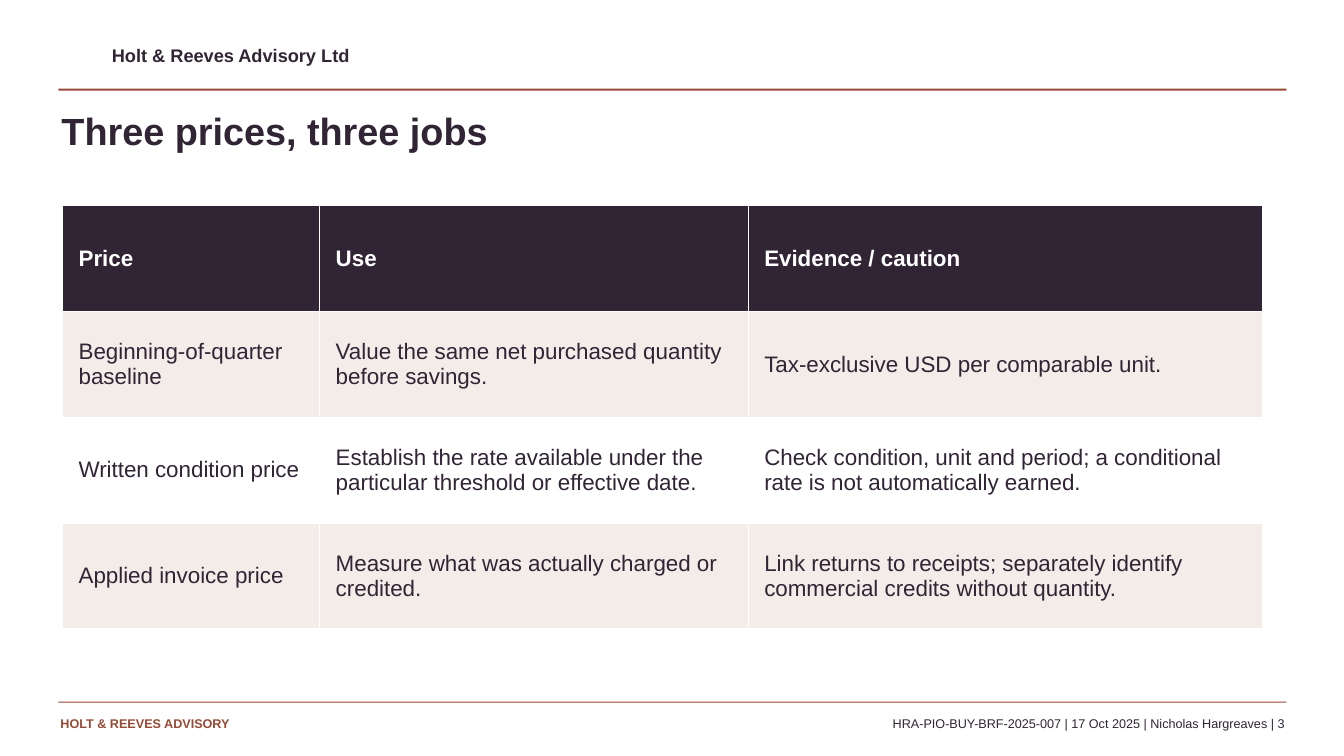
from pptx import Presentation, util as u
from pptx.dml.color import RGBColor
from pptx.enum import shapes, text

PX = 9144
FONT = "Arial"
COLORS = {
    "rust": "964B37",
    "plum": "302435",
    "blush": "F4ECE8",
    "white": "FFFFFF",
}
COLUMN_WIDTHS = [255, 425, 510]
PRICE_ROWS = [
    ["Price", "Use", "Evidence / caution"],
    ["Beginning-of-quarter baseline",
     "Value the same net purchased quantity before savings.",
     "Tax-exclusive USD per comparable unit."],
    ["Written condition price",
     "Establish the rate available under the particular threshold or effective date.",
     "Check condition, unit and period; a conditional rate is not automatically earned."],
    ["Applied invoice price",
     "Measure what was actually charged or credited.",
     "Link returns to receipts; separately identify commercial credits without quantity."],
]


def emu(*lengths):
    """Turn px lengths into EMU."""
    return [u.Emu(length * PX) for length in lengths]


def color(name):
    """Look up a palette colour."""
    return RGBColor.from_string(COLORS[name])


def write(frame, words, size, ink="plum", bold=False, align=text.PP_ALIGN.LEFT):
    """Put one formatted paragraph into a text frame."""
    frame.word_wrap = True
    paragraph = frame.paragraphs[0]
    paragraph.alignment = align
    run = paragraph.add_run()
    run.text = words
    run.font.name = FONT
    run.font.size = u.Pt(size)
    run.font.bold = bold
    run.font.color.rgb = color(ink)


def add_text(slide, box, words, **formatting):
    """Add a text box without insets."""
    frame = slide.shapes.add_textbox(*emu(*box)).text_frame
    frame.margin_left = frame.margin_top = frame.margin_right = frame.margin_bottom = 0
    write(frame, words, **formatting)


def add_rule(slide, box):
    """Add a thin filled rule."""
    shape = slide.shapes.add_shape(shapes.MSO_SHAPE.RECTANGLE, *emu(*box))
    shape.shadow.inherit = False
    shape.fill.solid()
    shape.fill.fore_color.rgb = color("rust")
    shape.line.fill.background()


def add_header(slide, left, top, width):
    """Place the firm's name and rule."""
    add_text(slide, (left + 53, top + 2, 600, 27), "Holt & Reeves Advisory Ltd",
             size=13, bold=True)
    add_rule(slide, (left, top + 46, width, 2))


def add_footer(slide, left, top, width):
    """Place the rule, the firm and the document reference."""
    add_rule(slide, (left, top, width, 1))
    add_text(slide, (left + 2, top + 14, 340, 25), "HOLT & REEVES ADVISORY",
             size=9, ink="rust", bold=True)
    add_text(slide, (left + 354, top + 14, width - 356, 20),
             "HRA-PIO-BUY-BRF-2025-007 | 17 Oct 2025 | Nicholas Hargreaves | 3",
             size=9, align=text.PP_ALIGN.RIGHT)


def add_price_table(slide, left, top, row_height):
    """Place the price table with a dark header and alternating rows."""
    box = emu(left, top, sum(COLUMN_WIDTHS), row_height * len(PRICE_ROWS))
    table = slide.shapes.add_table(len(PRICE_ROWS), len(COLUMN_WIDTHS), *box).table
    for column, width in zip(table.columns, emu(*COLUMN_WIDTHS)):
        column.width = width
    for row_index, row in enumerate(PRICE_ROWS):
        is_header = row_index == 0
        fill = "plum" if is_header else "blush" if row_index % 2 else "white"
        for column_index, words in enumerate(row):
            cell = table.cell(row_index, column_index)
            cell.fill.solid()
            cell.fill.fore_color.rgb = color(fill)
            cell.vertical_anchor = text.MSO_ANCHOR.MIDDLE
            cell.margin_left, cell.margin_right = emu(16, 16)
            cell.margin_top, cell.margin_bottom = emu(5, 5)
            write(cell.text_frame, words, size=16,
                  ink="white" if is_header else "plum", bold=is_header)


def build_price_slide(presentation):
    """Assemble the slide on the three prices."""
    slide = presentation.slides.add_slide(presentation.slide_layouts[6])
    add_header(slide, 58, 42, 1218)
    add_text(slide, (61, 107, 1200, 78), "Three prices, three jobs", size=27, bold=True)
    add_price_table(slide, 62, 204, 105)
    add_footer(slide, 58, 696, 1218)


def main():
    """Build and save the presentation."""
    presentation = Presentation()
    presentation.slide_width, presentation.slide_height = emu(1333, 750)
    build_price_slide(presentation)
    presentation.save("out.pptx")


if __name__ == "__main__":
    main()
